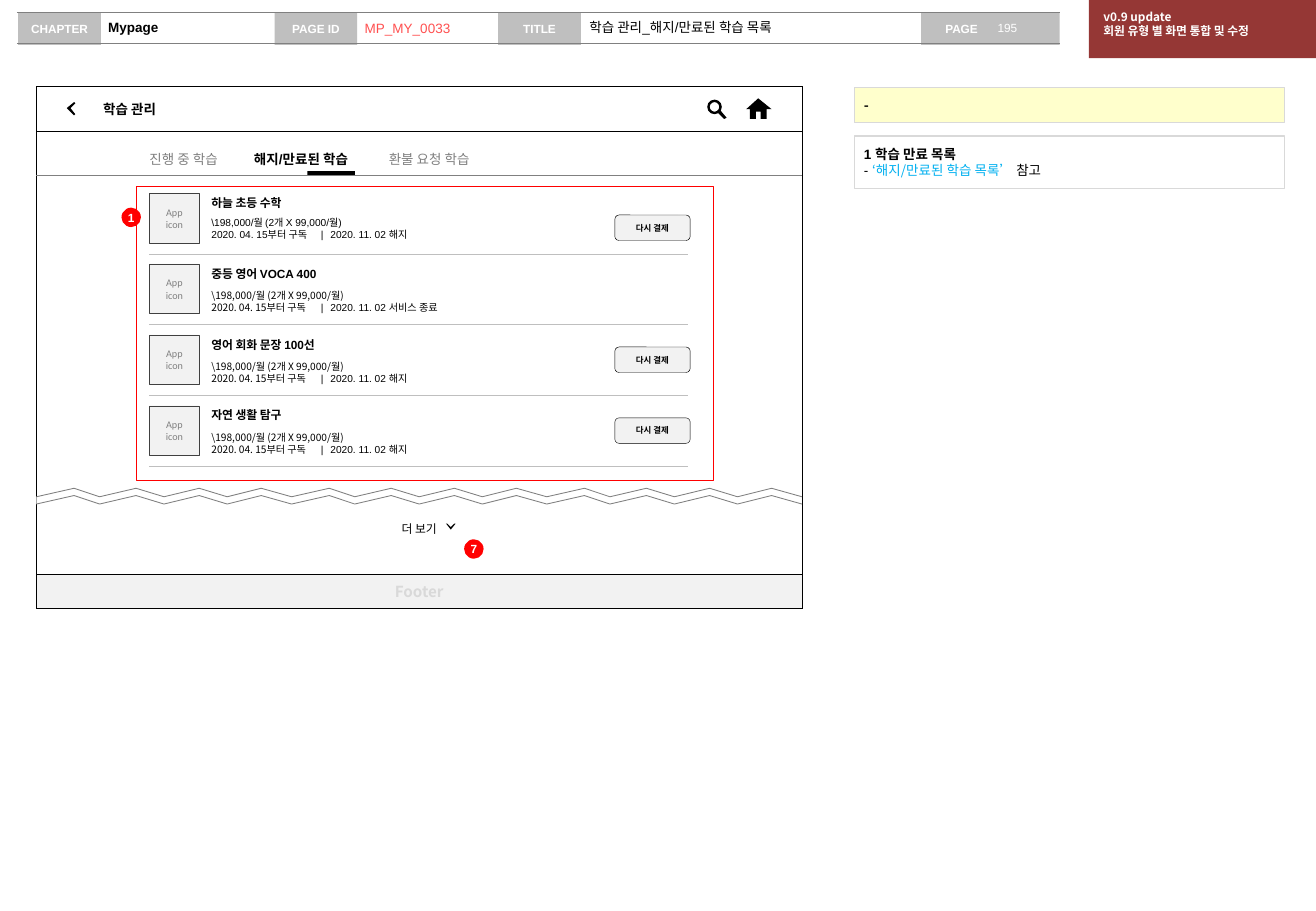
from lxml import etree
from pptx import Presentation
from pptx.dml.color import RGBColor
from pptx.enum.shapes import MSO_CONNECTOR, MSO_SHAPE
from pptx.enum.text import MSO_ANCHOR, MSO_AUTO_SIZE, PP_ALIGN
from pptx.oxml.ns import qn
from pptx.util import Inches, Pt

RECT, ROUND, OVAL, DONUT = (MSO_SHAPE.RECTANGLE, MSO_SHAPE.ROUNDED_RECTANGLE,
                            MSO_SHAPE.OVAL, MSO_SHAPE.DONUT)
LEFT, CENTER = PP_ALIGN.LEFT, PP_ALIGN.CENTER
TOP, MIDDLE = MSO_ANCHOR.TOP, MSO_ANCHOR.MIDDLE
STRAIGHT, NO_FIT = MSO_CONNECTOR.STRAIGHT, MSO_AUTO_SIZE.NONE

BLACK, WHITE, RED = RGBColor(0, 0, 0), RGBColor(255, 255, 255), RGBColor(255, 0, 0)
GRAY, SILVER = RGBColor(0x80, 0x80, 0x80), RGBColor(0xBF, 0xBF, 0xBF)
PALE, LIGHT = RGBColor(0xF2, 0xF2, 0xF2), RGBColor(0xD9, 0xD9, 0xD9)
DARK, MAROON = RGBColor(0x40, 0x40, 0x40), RGBColor(0x95, 0x37, 0x35)
CREAM, SKY = RGBColor(255, 255, 0xCC), RGBColor(0, 0xB0, 0xF0)
CORAL = RGBColor(255, 0x50, 0x50)
ARIAL, CALIBRI, NOTO = "Arial", "Calibri", "Noto Sans CJK KR"

# Content
HEADER_LABELS = [("CHAPTER", 0.15), ("PAGE ID", 2.26), ("TITLE", 4.1)]
HEADER_VALUES = [  # text, left, width, colour, bold, anchor
    ("Mypage", 0.83, 1.43, BLACK, True, TOP),
    ("학습 관리_해지/만료된 학습 목록", 4.79, 2.8, BLACK, False, TOP),
    ("MP_MY_0033", 2.94, 1.16, CORAL, False, MIDDLE),
]
UPDATE = ["v0.9 update", "회원 유형 별 화면 통합 및 수정"]
NOTE = [
    [("1 학습 만료 목록", {"bold": True})],
    [("- ", {}), ("‘해지/만료된 학습 목록’ ", {"name": NOTO, "color": SKY}), ("참고", {})],
]
TABS = [("진행 중 학습", 1.23, False), ("해지/만료된 학습", 2.09, True),
        ("환불 요청 학습", 3.2, False)]
PRICE = r"\198,000/월 (2개 X 99,000/월)"
START = "2020. 04. 15부터 구독"
COURSES = [  # name, end of subscription, font, detail offset, button offset
    ("하늘 초등 수학", "2020. 11. 02 해지", ARIAL, 0.19, 0.18),
    ("중등 영어 VOCA 400", "2020. 11. 02 서비스 종료", NOTO, 0.21, None),
    ("영어 회화 문장 100선", "2020. 11. 02 해지", NOTO, 0.21, 0.1),
    ("자연 생활 탐구", "2020. 11. 02 해지", NOTO, 0.21, 0.1),
]
MARKERS = [("7", 3.82, 4.44), ("1", 1, 1.71)]

BACK_ARROW = [(0.62, 0.85), (0.61, 0.84), (0.55, 0.89), (0.61, 0.95), (0.62, 0.94),
              (0.58, 0.89)]
HOME = [(6.22, 0.98), (6.22, 0.92), (6.26, 0.92), (6.26, 0.98), (6.31, 0.98), (6.31, 0.9),
        (6.35, 0.9), (6.24, 0.81), (6.14, 0.9), (6.17, 0.9), (6.17, 0.98)]
SEARCH_HANDLE = [(5.91, 0.93), (5.93, 0.91), (5.98, 0.97), (5.96, 0.98)]
MORE_ARROW = [(3.68, 4.31), (3.67, 4.31), (3.71, 4.36), (3.75, 4.31), (3.74, 4.31),
              (3.71, 4.34)]
TEAR_STEPS = [0, 0.31, 0.52, 0.82, 1.05, 1.34, 1.57, 1.85]
TEAR_PERIOD, TEAR_REPEATS = 2.1, 3
SCREEN_LEFT, SCREEN_TOP, SCREEN_WIDTH, SCREEN_HEIGHT = 0.3, 0.71, 6.3, 4.3
ROW_TOP, ROW_BOTTOM = 1.59, 3.34

prs = Presentation()
prs.slide_width, prs.slide_height = Inches(10.83), Inches(7.5)
slide = prs.slides.add_slide(prs.slide_layouts[3])
shapes = slide.shapes


def paint(shape, fill=None, line=None, weight=0.25):
    shape.shadow.inherit = False
    if fill is None:
        shape.fill.background()
    else:
        shape.fill.solid()
        shape.fill.fore_color.rgb = fill
    if line is None:
        shape.line.fill.background()
    else:
        shape.line.color.rgb = line
        shape.line.width = Pt(weight)
    return shape


def box(kind, left, top, width, height, fill=None, line=None, weight=0.25):
    shape = shapes.add_shape(kind, Inches(left), Inches(top), Inches(width), Inches(height))
    return paint(shape, fill, line, weight)


def label(left, top, width, height):
    return shapes.add_textbox(Inches(left), Inches(top), Inches(width), Inches(height))


def outline(points, fill=None, line=None, weight=0.25, close=True):
    corners = [(Inches(x), Inches(y)) for x, y in points]
    builder = shapes.build_freeform(*corners[0])
    builder.add_line_segments(corners[1:], close=close)
    return paint(builder.convert_to_shape(), fill, line, weight)


def rule(left, right, y, color, weight=0.25):
    line = shapes.add_connector(STRAIGHT, Inches(left), Inches(y), Inches(right), Inches(y))
    line.line.color.rgb, line.line.width = color, Pt(weight)
    etree.SubElement(line._element.spPr, qn("a:effectLst"))


def write(shape, lines, size, color=BLACK, bold=False, font=ARIAL, align=LEFT,
          anchor=TOP, insets=(0, 0, 0, 0), wrap=True, spacing=None):
    """Fill a shape with lines; a line is a string or a list of (text, changes) runs."""
    frame = shape.text_frame
    sides = dict(zip(("margin_left", "margin_top", "margin_right", "margin_bottom"),
                     map(Inches, insets)))
    for name, value in {**sides, "auto_size": NO_FIT, "word_wrap": wrap,
                        "vertical_anchor": anchor}.items():
        setattr(frame, name, value)
    for i, line in enumerate(lines):
        paragraph = frame.add_paragraph() if i else frame.paragraphs[0]
        paragraph.alignment = align
        if spacing:
            paragraph.line_spacing = spacing
        for text, changes in [(line, {})] if isinstance(line, str) else line:
            run = paragraph.add_run()
            run.text = text
            look = {"name": font, "size": Pt(size), "bold": bold, "color": color, **changes}
            run.font.color.rgb = look.pop("color")
            for name, value in look.items():
                setattr(run.font, name, value)
            east_asian = etree.Element(qn("a:ea"), typeface=NOTO)
            run.font._element.find(qn("a:latin")).addnext(east_asian)


def set_tabs(paragraph, *stops):
    tabs = etree.SubElement(paragraph._p.get_or_add_pPr(), qn("a:tabLst"))
    for stop in stops:
        etree.SubElement(tabs, qn("a:tab"), pos=str(Inches(stop)), algn="l")


# Header band
for (text, left, width, color, bold, anchor), holder in zip(HEADER_VALUES,
                                                            slide.placeholders):
    for name, value in {"left": left, "top": 0.11, "width": width, "height": 0.24}.items():
        setattr(holder, name, Inches(value))
    write(holder, [text], 8, color, bold, anchor=anchor, insets=(0.06, 0.05, 0, 0.05))
    properties = holder.text_frame.paragraphs[0]._p.get_or_add_pPr()
    properties.set("marL", "0")
    properties.set("indent", "0")
    etree.SubElement(properties, qn("a:buNone"))
write(box(RECT, 7.58, 0.1, 1.14, 0.27, SILVER), ["PAGE"], 7, WHITE, True, anchor=MIDDLE,
      insets=(0.2, 0.05, 0.1, 0.05))
write(label(8.17, 0.12, 0.55, 0.22), ["195"], 7, WHITE, insets=(0.04, 0.05, 0, 0.05))
for text, left in HEADER_LABELS:
    write(box(RECT, left, 0.1, 0.68, 0.27, SILVER), [text], 7, WHITE, True,
          align=CENTER, anchor=MIDDLE, wrap=False)
for y in (0.1, 0.36):
    rule(0.14, 8.72, y, GRAY, 0.75)
write(box(RECT, 8.96, 0, 1.88, 0.48, MAROON), UPDATE, 7, WHITE, True, NOTO,
      insets=(0.12, 0.08, 0.1, 0.05))

# Description column
write(box(RECT, 7.03, 0.72, 3.54, 0.29, CREAM, LIGHT, 0.75), ["-"], 8, bold=True,
      font=NOTO, insets=(0.08,) * 4)
write(box(RECT, 7.03, 1.12, 3.54, 0.43, None, LIGHT, 0.75), NOTE, 8, insets=(0.08,) * 4)

# Screen frame, title bar and tabs
screen_right = SCREEN_LEFT + SCREEN_WIDTH
box(RECT, SCREEN_LEFT, SCREEN_TOP, SCREEN_WIDTH, SCREEN_HEIGHT, None, BLACK)
rule(SCREEN_LEFT, screen_right, 1.44, GRAY)
box(RECT, 2.53, 1.41, 0.39, 0.03, BLACK)
for text, left, active in TABS:
    write(label(left, 1.22, 1.1, 0.16), [text], 8, BLACK if active else GRAY, active,
          wrap=False, spacing=1.2)
write(box(RECT, SCREEN_LEFT, SCREEN_TOP, SCREEN_WIDTH, 0.37, WHITE, BLACK), ["학습 관리"],
      8, bold=True, font=NOTO, anchor=MIDDLE, insets=(0.55, 0.05, 0.1, 0.05))
box(DONUT, 5.82, 0.82, 0.12, 0.12, BLACK).adjustments[0] = 0.17
for icon in (BACK_ARROW, HOME, SEARCH_HANDLE):
    outline(icon, BLACK)

# Footer, torn edge and the more link
write(box(RECT, SCREEN_LEFT, 4.73, SCREEN_WIDTH, 0.28, PALE, BLACK), ["Footer"], 9, LIGHT,
      True, NOTO, CENTER, MIDDLE)
tear_x = [SCREEN_LEFT + n * TEAR_PERIOD + step
          for n in range(TEAR_REPEATS) for step in TEAR_STEPS] + [screen_right]
upper = [(x, 4.02 if i % 2 else 4.09) for i, x in enumerate(tear_x)]
lower = [(x, y + 0.06) for x, y in upper]
outline(upper + lower[::-1], WHITE)
for edge in (upper, lower):
    outline(edge, None, GRAY, 0.5, close=False)
write(label(2.93, 4.26, 1.04, 0.15), ["더 보기"], 7, font=NOTO, align=CENTER, spacing=1.3)
outline(MORE_ARROW, BLACK)

# Course list
row_pitch = (ROW_BOTTOM - ROW_TOP) / (len(COURSES) - 1)
for i, (course, end, font, detail_offset, button_offset) in enumerate(COURSES):
    top = ROW_TOP + i * row_pitch
    write(box(RECT, 1.23, top, 0.41, 0.41, PALE, DARK), ["App", "icon"], 6, GRAY,
          font=CALIBRI, align=CENTER, anchor=MIDDLE, wrap=False)
    write(label(1.74, top + 0.02, 1, 0.12), [course], 7, bold=True, wrap=False)
    details = label(1.74, top + detail_offset, 2.2, 0.2)
    period = [(START + "\t", {}), ("|\t" + end, {"name": ARIAL})]
    write(details, [PRICE, period], 6, font=font)
    set_tabs(details.text_frame.paragraphs[1], 0.9, 0.98)
    rule(1.23, 5.66, top + 0.5, SILVER)
    if button_offset is not None:
        write(box(ROUND, 5.06, top + button_offset, 0.62, 0.21, PALE, BLACK), ["다시 결제"],
              5, bold=True, font=NOTO, align=CENTER, anchor=MIDDLE, wrap=False)
box(RECT, 1.12, 1.53, 4.75, 2.42, None, RED)
for number, left, top in MARKERS:
    write(box(OVAL, left, top, 0.16, 0.16, RED), [number], 7, WHITE, True, align=CENTER,
          anchor=MIDDLE, wrap=False)

prs.save("out.pptx")
